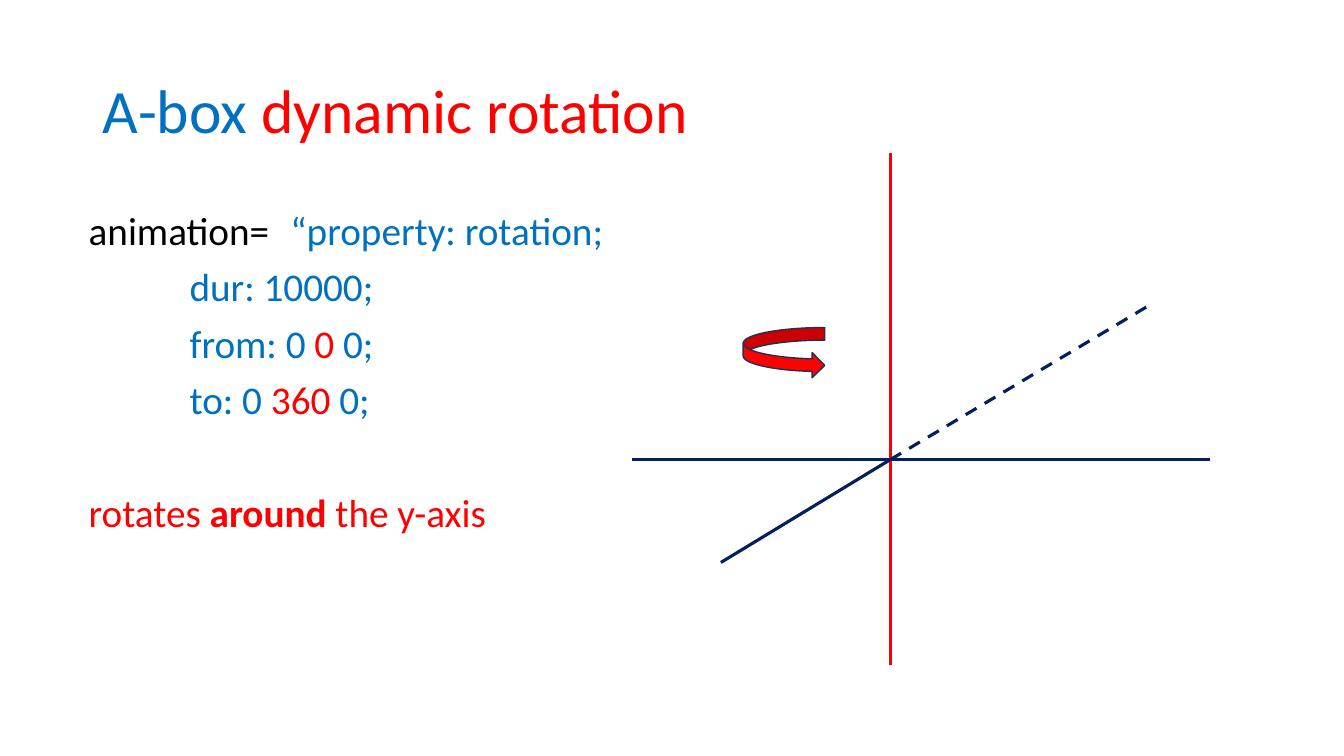
"""Build the slide on dynamic rotation about the y-axis."""
from dataclasses import dataclass

from lxml.etree import SubElement
from pptx import Presentation
from pptx.dml.color import RGBColor
from pptx.enum.dml import MSO_LINE
from pptx.enum.shapes import MSO_CONNECTOR, MSO_SHAPE
from pptx.enum.text import MSO_ANCHOR, MSO_AUTO_SIZE, PP_ALIGN
from pptx.oxml.ns import qn
from pptx.util import Inches, Pt

WIDTH, HEIGHT = 13.33, 7.5


@dataclass(frozen=True)
class Theme:
    font: str = "Calibri"
    title_size: float = 44
    body_size: float = 28
    axis_width: float = 2.25
    outline_width: float = 1
    blue: str = "0070C0"
    red: str = "FF0000"
    black: str = "000000"
    navy: str = "002060"
    outline: str = "1E3256"


THEME = Theme()


def rgb(value):
    return RGBColor.from_string(value)


def place(sp, left, top, width, height):
    sp.left, sp.top = Inches(left), Inches(top)
    sp.width, sp.height = Inches(width), Inches(height)


def write_runs(p, runs, size):
    """Fill a paragraph with (text, colour, bold) runs."""
    p.alignment = PP_ALIGN.LEFT
    p.line_spacing = 0.9
    for text, color, bold in runs:
        r = p.add_run()
        r.text = text
        r.font.name = THEME.font
        r.font.size = Pt(size)
        r.font.bold = bold
        r.font.color.rgb = rgb(color)


def set_layout(p, indent, tab=None):
    """Remove the bullet and set the left indent and an optional tab stop."""
    pPr = p._p.get_or_add_pPr()
    pPr.set("marL", str(Inches(indent)))
    pPr.set("indent", "0")
    SubElement(pPr, qn("a:buNone"))
    if tab:
        stops = SubElement(pPr, qn("a:tabLst"))
        SubElement(stops, qn("a:tab"), pos=str(Inches(tab)), algn="l")


def fill_title(sp, runs):
    place(sp, 0.92, 0.4, 11.5, 1.45)
    tf = sp.text_frame
    tf.auto_size = MSO_AUTO_SIZE.NONE
    tf.vertical_anchor = MSO_ANCHOR.MIDDLE
    write_runs(tf.paragraphs[0], runs, THEME.title_size)


def fill_body(sp, lines):
    """Write (indent, tab, space before, runs) lines into the body."""
    place(sp, 0.78, 2.05, 11.5, 4.76)
    tf = sp.text_frame
    tf.auto_size = MSO_AUTO_SIZE.NONE
    tf.vertical_anchor = MSO_ANCHOR.TOP
    for i, (indent, tab, before, runs) in enumerate(lines):
        p = tf.add_paragraph() if i else tf.paragraphs[0]
        set_layout(p, indent, tab)
        p.space_before = Pt(before)
        write_runs(p, runs, THEME.body_size)


def add_axis(slide, start, end, color, dash=None):
    points = [Inches(v) for v in (*start, *end)]
    line = slide.shapes.add_connector(MSO_CONNECTOR.STRAIGHT, *points)
    line.line.color.rgb = rgb(color)
    line.line.width = Pt(THEME.axis_width)
    if dash:
        line.line.dash_style = dash
    SubElement(line._element.spPr, qn("a:effectLst"))


def add_turn_arrow(slide, left, top, width, height):
    box = [Inches(v) for v in (left, top, width, height)]
    sp = slide.shapes.add_shape(MSO_SHAPE.CURVED_RIGHT_ARROW, *box)
    sp.shadow.inherit = False
    sp.fill.solid()
    sp.fill.fore_color.rgb = rgb(THEME.red)
    sp.line.color.rgb = rgb(THEME.outline)
    sp.line.width = Pt(THEME.outline_width)


def main():
    prs = Presentation()
    prs.slide_width, prs.slide_height = Inches(WIDTH), Inches(HEIGHT)
    slide = prs.slides.add_slide(prs.slide_layouts[1])
    blue, red, navy = THEME.blue, THEME.red, THEME.navy

    fill_title(slide.shapes.title, [("A-box ", blue, False),
                                    ("dynamic rotation", red, False)])
    fill_body(slide.placeholders[1], [
        (0, 2.07, 0, [("animation=\t", THEME.black, False),
                      ("“property: rotation;", blue, False)]),
        (1, None, 10, [("dur: 10000;", blue, False)]),
        (1, None, 10, [("from: 0 ", blue, False), ("0", red, False),
                       (" 0;", blue, False)]),
        (1, None, 10, [("to: 0 ", blue, False), ("360", red, False),
                       (" 0;", blue, False)]),
        (0, None, 50.5, [("rotates ", red, False), ("around", red, True),
                         (" the y-axis", red, False)]),
    ])

    x0, y0 = origin = (8.83, 4.56)
    add_axis(slide, (6.27, y0), (12, y0), navy)
    add_axis(slide, (x0, 6.6), (x0, 1.52), red)
    add_axis(slide, (7.15, 5.58), origin, navy)
    add_axis(slide, origin, (11.38, 3.04), navy, MSO_LINE.DASH)
    add_turn_arrow(slide, 7.37, 3.25, 0.81, 0.5)
    prs.save("out.pptx")


if __name__ == "__main__":
    main()
